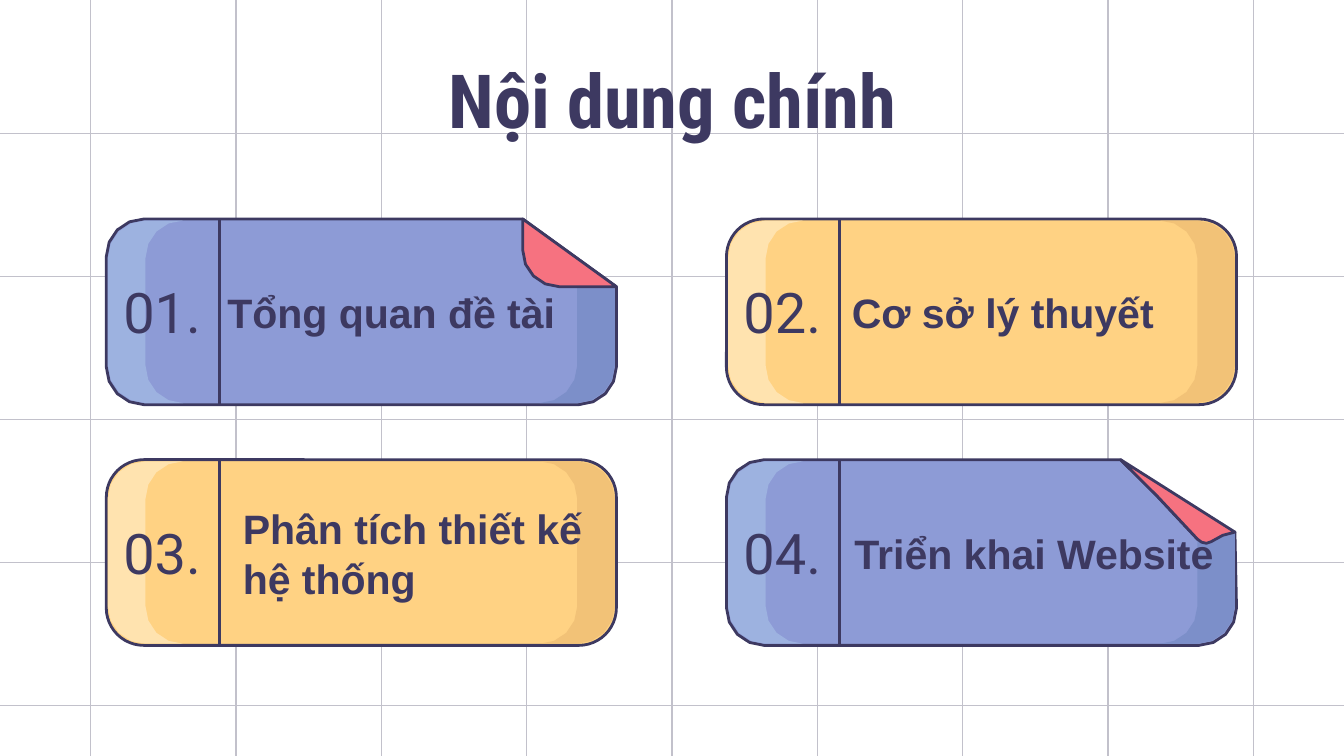
"""Build the contents slide: four numbered cards on a ruled grid."""
from dataclasses import dataclass
from math import cos, radians, sin

from pptx import Presentation, util as u
from pptx.dml.color import RGBColor
from pptx.enum import shapes as s, text as t
from pptx.oxml.ns import qn


@dataclass(frozen=True)
class Theme:
    """Colours, fonts and sizes of the slide."""
    ink: str = "3D3961"
    grid: str = "C2C1CB"
    flap: str = "F67280"
    blue: tuple = ("8D9BD6", "9DB2E0", "7C8FC9")
    gold: tuple = ("FFD283", "FFE3AF", "F2C277")
    thin: float = 0.75
    bold: float = 1.5
    title: tuple = ("Roboto Condensed", 40, True)
    number: tuple = ("Roboto", 30, False)
    label: tuple = ("Arial", 22, True)


THEME = Theme()
WIDE, HIGH = 25.4, 14.29
CARD_W, CARD_H, ROUND, INSET = 9.64, 3.51, 0.71, 0.03
SPLIT = 2.14


def apply(item, values):
    """Set each named value on the item."""
    for name, value in values.items():
        setattr(item, name, value)


def paint(shape, fill, edge=None):
    """Give a shape its fill and, if named, its outline."""
    shape.shadow.inherit = False
    shape.fill.solid()
    shape.fill.fore_color.rgb = RGBColor.from_string(fill)
    if edge:
        shape.line.color.rgb = RGBColor.from_string(edge)
        shape.line.width = u.Pt(THEME.bold)
    else:
        shape.line.fill.background()


def rule(slide, x1, y1, x2, y2, color, width):
    """Draw a straight line."""
    line = slide.shapes.add_connector(
        s.MSO_CONNECTOR.STRAIGHT, *map(u.Cm, (x1, y1, x2, y2)))
    line.line.color.rgb = RGBColor.from_string(color)
    line.line.width = u.Pt(width)
    props = line._element.spPr
    props.append(props.makeelement(qn("a:effectLst"), {}))


def write(slide, box, words, face, align):
    """Place text, centred vertically, in a box."""
    frame = slide.shapes.add_textbox(*map(u.Cm, box)).text_frame
    apply(frame, dict(
        word_wrap=True, vertical_anchor=t.MSO_ANCHOR.MIDDLE, margin_left=0,
        margin_top=0, margin_right=0, margin_bottom=0))
    para = frame.paragraphs[0]
    para.alignment = align
    run = para.add_run()
    run.text = words
    name, size, bold = face
    apply(run.font, dict(name=name, size=u.Pt(size), bold=bold))
    run.font.color.rgb = RGBColor.from_string(THEME.ink)


def outline(slide, box, points, fill, edge=None):
    """Draw a closed outline given relative to the box."""
    left, top = box[:2]
    spots = [(u.Cm(left + x), u.Cm(top + y)) for x, y in points]
    pen = slide.shapes.build_freeform(*spots[0])
    pen.add_line_segments(spots[1:], close=True)
    paint(pen.convert_to_shape(), fill, edge)


def arc(x, y, start, end, radius=ROUND, steps=4):
    """List points along an arc, with angles clockwise from the right."""
    turns = [radians(start + (end - start) * i / steps) for i in range(steps + 1)]
    return [(x + radius * cos(a), y + radius * sin(a)) for a in turns]


def band(top=None):
    """Outline the right-hand shade, under a given top edge."""
    far = CARD_W - INSET - ROUND
    near = far - ROUND
    high, low = INSET + ROUND, CARD_H - INSET - ROUND
    top = top or arc(near, high, 0, -90) + arc(far, high, -90, 0)
    return arc(far, low, 0, 90) + arc(near, low, 90, 0) + top


def body(edge):
    """Outline a card whose top right corner follows the edge."""
    right, low = CARD_W - ROUND, CARD_H - ROUND
    return (arc(ROUND, ROUND, 180, 270) + edge + arc(right, low, 0, 90)
            + arc(ROUND, low, 90, 180))


def corner():
    """Give the edge, flap and shade top of a turned corner."""
    edge = [(7.87, 0), (CARD_W, 1.28)]
    flap = edge + arc(8.56, 0.59, 90, 180, 0.69)
    return edge, flap, [(8.9, 0.81), (9.61, 1.33)]


def curl():
    """Give the edge, flap and shade top of a curled corner."""
    lip = [(8.9, 1.5), (8.98, 1.56), (9.07, 1.58), (9.16, 1.55),
           (9.38, 1.43), (9.61, 1.37)]
    edge = [(7.45, 0), (8.15, 0.7)] + lip
    return edge, edge, lip


def card(slide, box, number, words, shift, tones, fold=None):
    """Place one numbered card in its box."""
    left, top, wide, high = box
    base, light, dark = tones
    edge, flap, trim = fold() if fold else (None, None, None)
    if fold:
        outline(slide, box, body(edge), base, THEME.ink)
    else:
        plate = slide.shapes.add_shape(
            s.MSO_SHAPE.ROUNDED_RECTANGLE, *map(u.Cm, box))
        plate.adjustments[0] = ROUND / high
        paint(plate, base, THEME.ink)
    outline(slide, box, [(wide - x, y) for x, y in band()], light)
    outline(slide, box, band(trim), dark)
    if fold:
        outline(slide, box, flap, THEME.flap, THEME.ink)
    rule(slide, left + SPLIT, top, left + SPLIT, top + high, THEME.ink, THEME.bold)
    write(slide, (left, top + 0.23, 2.11, 3.02), number, THEME.number,
          t.PP_ALIGN.CENTER)
    write(slide, (left + shift, top + 1.22, 6.81, 1.09), words, THEME.label,
          t.PP_ALIGN.LEFT)


def grid(slide, box):
    """Rule the background lines across the box."""
    left, top, wide, high = box
    for i in range(9):
        x = left + 2.21 + 21.98 * i / 8
        rule(slide, x, top, x, top + high, THEME.grid, THEME.thin)
    for i in range(5):
        y = top + 3.02 + 10.82 * i / 4
        rule(slide, left, y, left + wide, y, THEME.grid, THEME.thin)


def main():
    """Build and save the slide."""
    deck = Presentation()
    apply(deck, dict(slide_width=u.Cm(WIDE), slide_height=u.Cm(HIGH)))
    slide = deck.slides.add_slide(deck.slide_layouts[6])
    grid(slide, (-0.5, -0.5, WIDE + 1, HIGH + 1))
    write(slide, (2.01, 1.07, 21.4, 1.6), "Nội dung chính", THEME.title,
          t.PP_ALIGN.CENTER)
    cards = (
        ("01.", "Tổng quan đề tài", 2.29, THEME.blue, corner),
        ("02.", "Cơ sở lý thuyết", 2.37, THEME.gold),
        ("03.", "Phân tích thiết kế hệ thống", 2.58, THEME.gold),
        ("04.", "Triển khai Website", 2.42, THEME.blue, curl),
    )
    for i, parts in enumerate(cards):
        row, col = divmod(i, 2)
        card(slide, (2.01 + 11.72 * col, 4.14 + 4.55 * row, CARD_W, CARD_H), *parts)
    deck.save("out.pptx")


if __name__ == "__main__":
    main()
